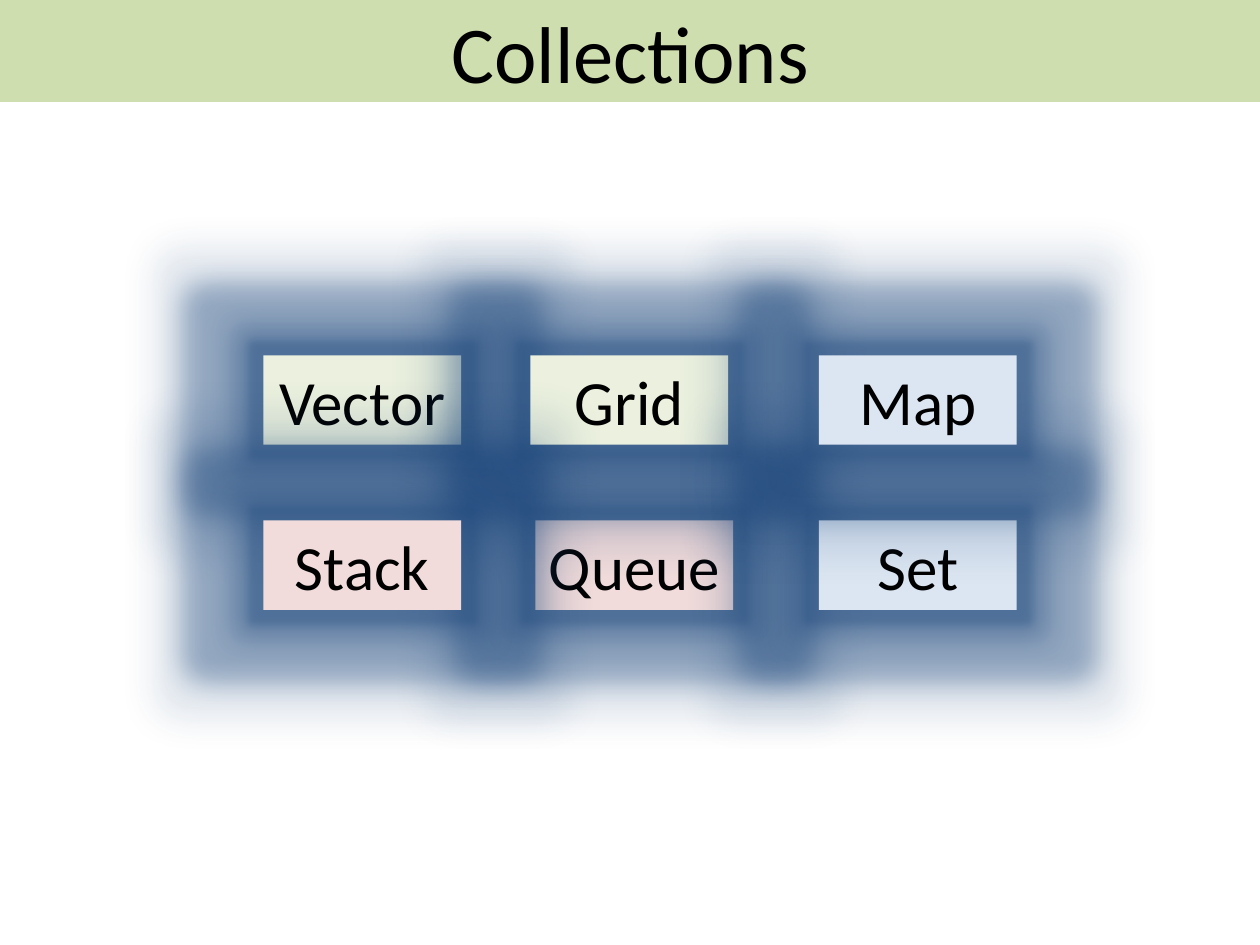
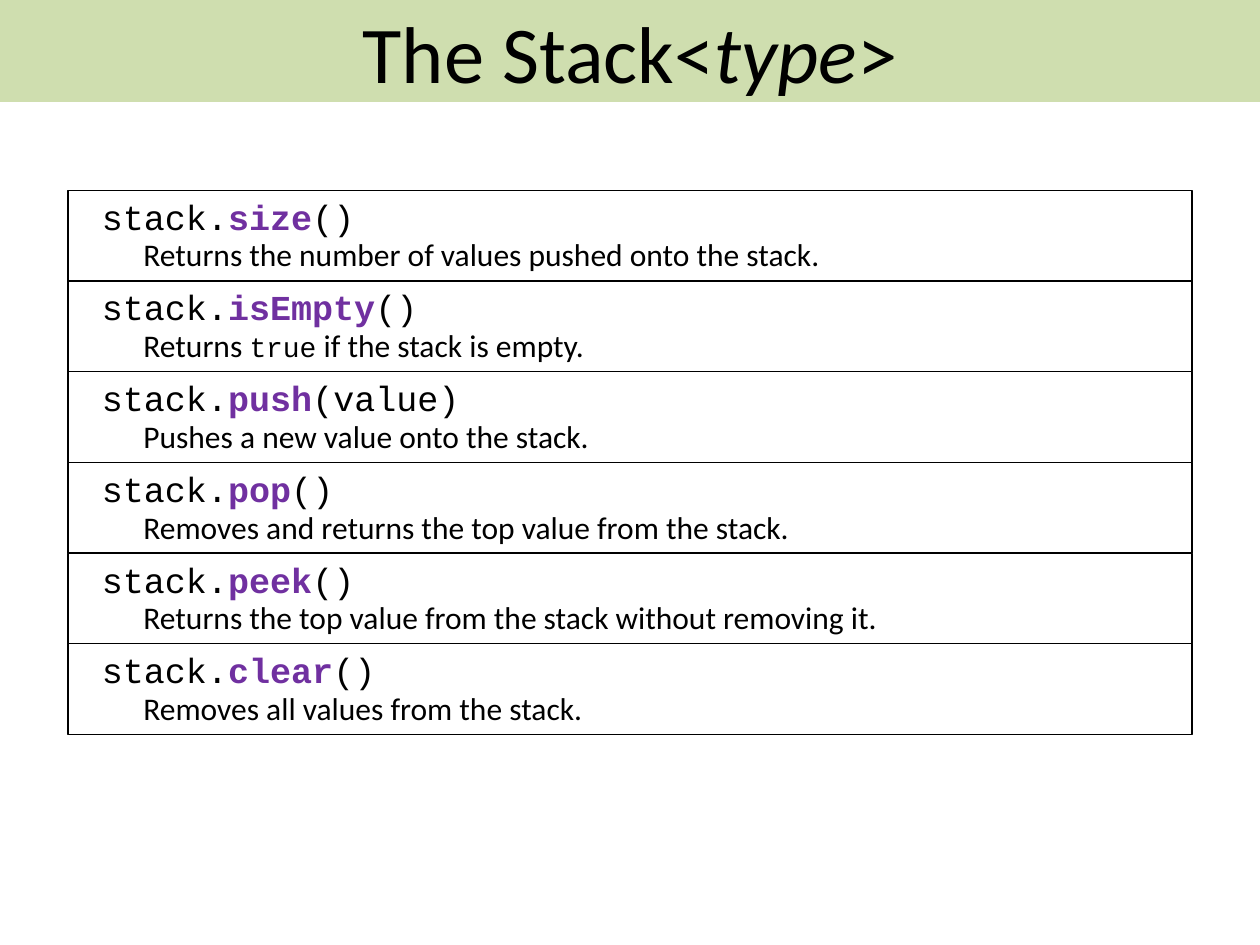
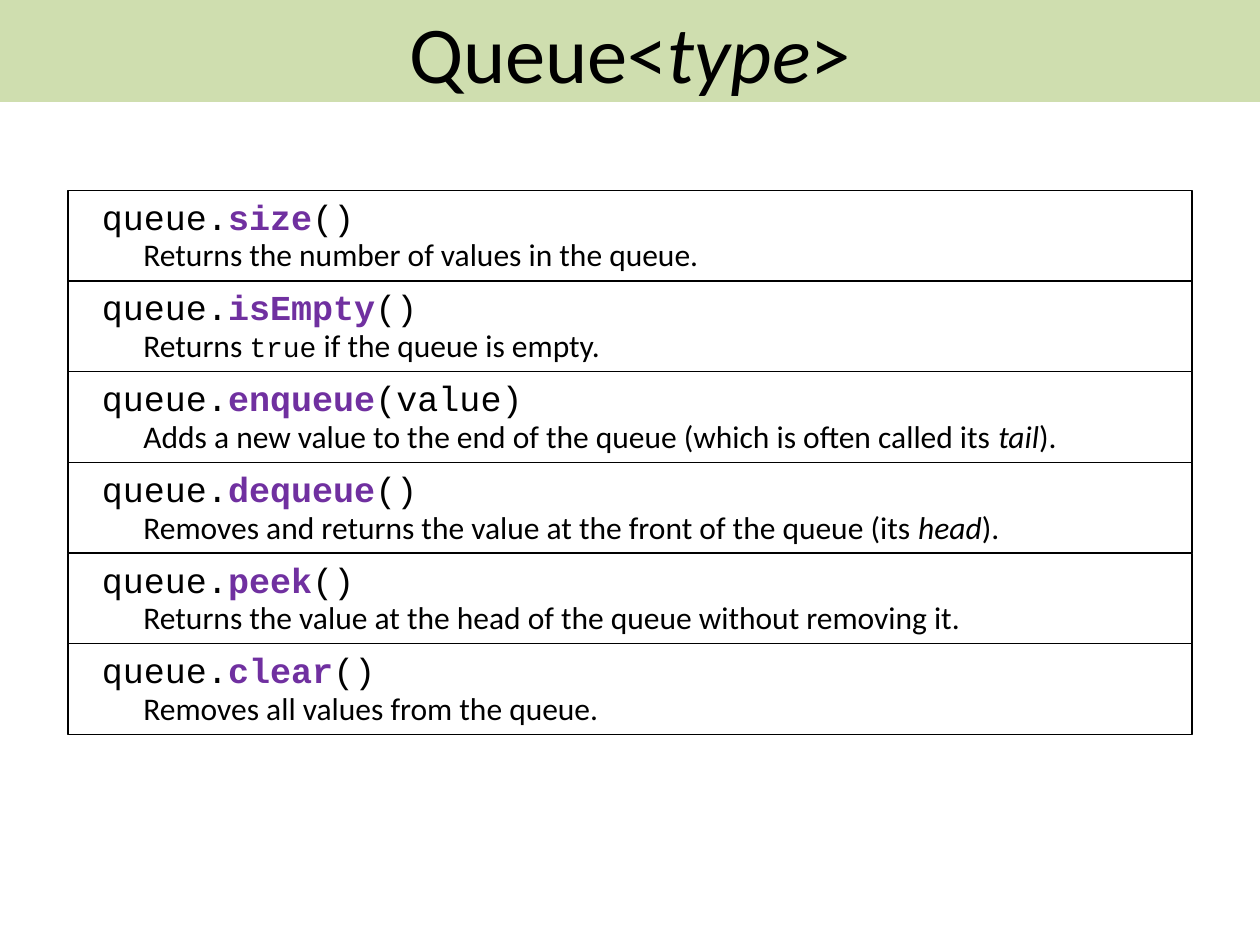
"""Build three slides about collections, stacks and queues."""
from lxml import etree
from pptx import Presentation
from pptx.dml.color import RGBColor
from pptx.enum.shapes import MSO_SHAPE
from pptx.enum.text import MSO_ANCHOR, MSO_AUTO_SIZE, PP_ALIGN
from pptx.oxml import parse_xml
from pptx.oxml.ns import nsdecls, qn
from pptx.util import Inches, Pt

RECTANGLE = MSO_SHAPE.RECTANGLE
CENTER = PP_ALIGN.CENTER
MIDDLE = MSO_ANCHOR.MIDDLE
GROW = MSO_AUTO_SIZE.SHAPE_TO_FIT_TEXT
FIXED = MSO_AUTO_SIZE.NONE

BLACK = RGBColor(0x00, 0x00, 0x00)
WHITE = RGBColor(0xFF, 0xFF, 0xFF)
BAND_GREEN = RGBColor(0xC3, 0xD6, 0x9B)
PALE_GREEN = RGBColor(0xEB, 0xF1, 0xDE)
PALE_RED = RGBColor(0xF2, 0xDC, 0xDB)
PALE_BLUE = RGBColor(0xDC, 0xE6, 0xF2)
NAVY = RGBColor(0x1F, 0x49, 0x7D)
PURPLE = RGBColor(0x70, 0x30, 0xA0)
BODY_FONT = "Calibri"
CODE_FONT = "Courier New"
TITLE_ONLY = 5

COLLECTIONS = [
    ("Vector", 2.09, 2.82, PALE_GREEN),
    ("Queue", 4.25, 4.13, PALE_RED),
    ("Grid", 4.21, 2.82, PALE_GREEN),
    ("Stack", 2.09, 4.13, PALE_RED),
    ("Set", 6.5, 4.13, PALE_BLUE),
    ("Map", 6.5, 2.82, PALE_BLUE),
]
STACK_METHODS = [
    ("size", "()", ["Returns the number of values pushed onto the stack."]),
    ("isEmpty", "()", ["Returns ", ("true", "code"), " if the stack is empty."]),
    ("push", "(value)", ["Pushes a new value onto the stack."]),
    ("pop", "()", ["Removes and returns the top value from the stack."]),
    ("peek", "()", ["Returns the top value from the stack without removing it."]),
    ("clear", "()", ["Removes all values from the stack."]),
]
QUEUE_METHODS = [
    ("size", "()", ["Returns the number of values in the queue."]),
    ("isEmpty", "()", ["Returns ", ("true", "code"), " if the queue is empty."]),
    ("enqueue", "(value)", [
        "Adds a new value to the end of the queue (which is often called its ",
        ("tail", "italic"), ")."]),
    ("dequeue", "()", [
        "Removes and returns the value at the front of the queue (its ",
        ("head", "italic"), ")."]),
    ("peek", "()", ["Returns the value at the head of the queue without removing it."]),
    ("clear", "()", ["Removes all values from the queue."]),
]


class Deck:
    """Holds the presentation, its style and the current page."""

    def __init__(self):
        self.deck = Presentation()
        self.deck.slide_width = Inches(10)
        self.deck.slide_height = Inches(7.5)
        self.page = None

    def add_spans(self, para, spans, size, font=BODY_FONT):
        """Add spans, each plain text or a pair of text and style."""
        for span in spans:
            text, style = span if isinstance(span, tuple) else (span, "plain")
            run = para.add_run()
            run.text = text
            run.font.name = CODE_FONT if style == "code" else font
            run.font.size = Pt(16 if style == "code" else size)
            run.font.bold = style == "method"
            run.font.italic = style == "italic"
            run.font.color.rgb = PURPLE if style == "method" else BLACK

    def add_page(self, title_spans):
        """Start a page with its title in the green band."""
        self.page = self.deck.slides.add_slide(self.deck.slide_layouts[TITLE_ONLY])
        title = self.page.shapes.title
        title.left, title.top = Inches(0), Inches(0)
        title.width, title.height = Inches(10), Inches(0.81)
        title.fill.solid()
        title.fill.fore_color.rgb = BAND_GREEN
        color = title.element.spPr.find(".//" + qn("a:srgbClr"))
        etree.SubElement(color, qn("a:alpha"), val="80000")
        frame = title.text_frame
        frame.auto_size = FIXED
        frame.word_wrap = True
        frame.vertical_anchor = MIDDLE
        frame.paragraphs[0].alignment = CENTER
        self.add_spans(frame.paragraphs[0], title_spans, 46)

    def rectangle(self, shapes, left, top, width, height, fill):
        """Add a plain filled rectangle."""
        box = shapes.add_shape(
            RECTANGLE, Inches(left), Inches(top), Inches(width), Inches(height))
        box.shadow.inherit = False
        box.fill.solid()
        box.fill.fore_color.rgb = fill
        box.line.fill.background()
        return box

    def glow(self, box):
        """Surround a box with a wide glow and a narrow, darker frame."""
        effects = box.element.spPr.find(qn("a:effectLst"))
        color = f'<a:srgbClr val="{NAVY}"><a:alpha val="40000"/></a:srgbClr>'
        effects.append(parse_xml(
            f'<a:glow {nsdecls("a")} rad="{Inches(0.44)}">{color}</a:glow>'))
        effects.append(parse_xml(
            f'<a:outerShdw {nsdecls("a")} blurRad="{Inches(0.06)}" dist="0" dir="0" '
            f'sx="116000" sy="134000" algn="ctr" rotWithShape="0">{color}</a:outerShdw>'))

    def collection(self, name, left, top, fill):
        """Add a glowing box with the name of a collection."""
        box = self.rectangle(self.page.shapes, left, top, 1.57, 0.71, fill)
        self.glow(box)
        frame = box.text_frame
        frame.word_wrap = False
        frame.auto_size = GROW
        frame.paragraphs[0].alignment = CENTER
        self.add_spans(frame.paragraphs[0], [name], 36)

    def text_line(self, shapes, left, top, width, height, spans, size, font=BODY_FONT):
        """Add a text box with one line."""
        box = shapes.add_textbox(
            Inches(left), Inches(top), Inches(width), Inches(height))
        box.text_frame.word_wrap = True
        box.text_frame.auto_size = GROW
        self.add_spans(box.text_frame.paragraphs[0], spans, size, font)

    def method_list(self, owner, methods):
        """Add one framed row for each method of the owner."""
        row_height = 0.72
        for index, (method, arguments, description) in enumerate(methods):
            top = 1.51 + index * row_height
            shapes = self.page.shapes.add_group_shape().shapes
            row = self.rectangle(shapes, 0.54, top, 8.92, row_height, WHITE)
            row.line.color.rgb = BLACK
            row.line.width = Pt(0.75)
            call = [f"{owner}.", (method, "method"), arguments]
            self.text_line(shapes, 0.71, top - 0.01, 8.58, 0.43, call, 20, CODE_FONT)
            self.text_line(shapes, 1.04, top + 0.31, 8.33, 0.4, description, 18)


def main():
    """Build the pages and save the deck."""
    slides = Deck()
    slides.add_page(["Collections"])
    for collection in COLLECTIONS:
        slides.collection(*collection)
    slides.add_page(["The Stack<", ("type", "italic"), ">"])
    slides.method_list("stack", STACK_METHODS)
    slides.add_page(["Queue<", ("type", "italic"), ">"])
    slides.method_list("queue", QUEUE_METHODS)
    slides.deck.save("out.pptx")


if __name__ == "__main__":
    main()
